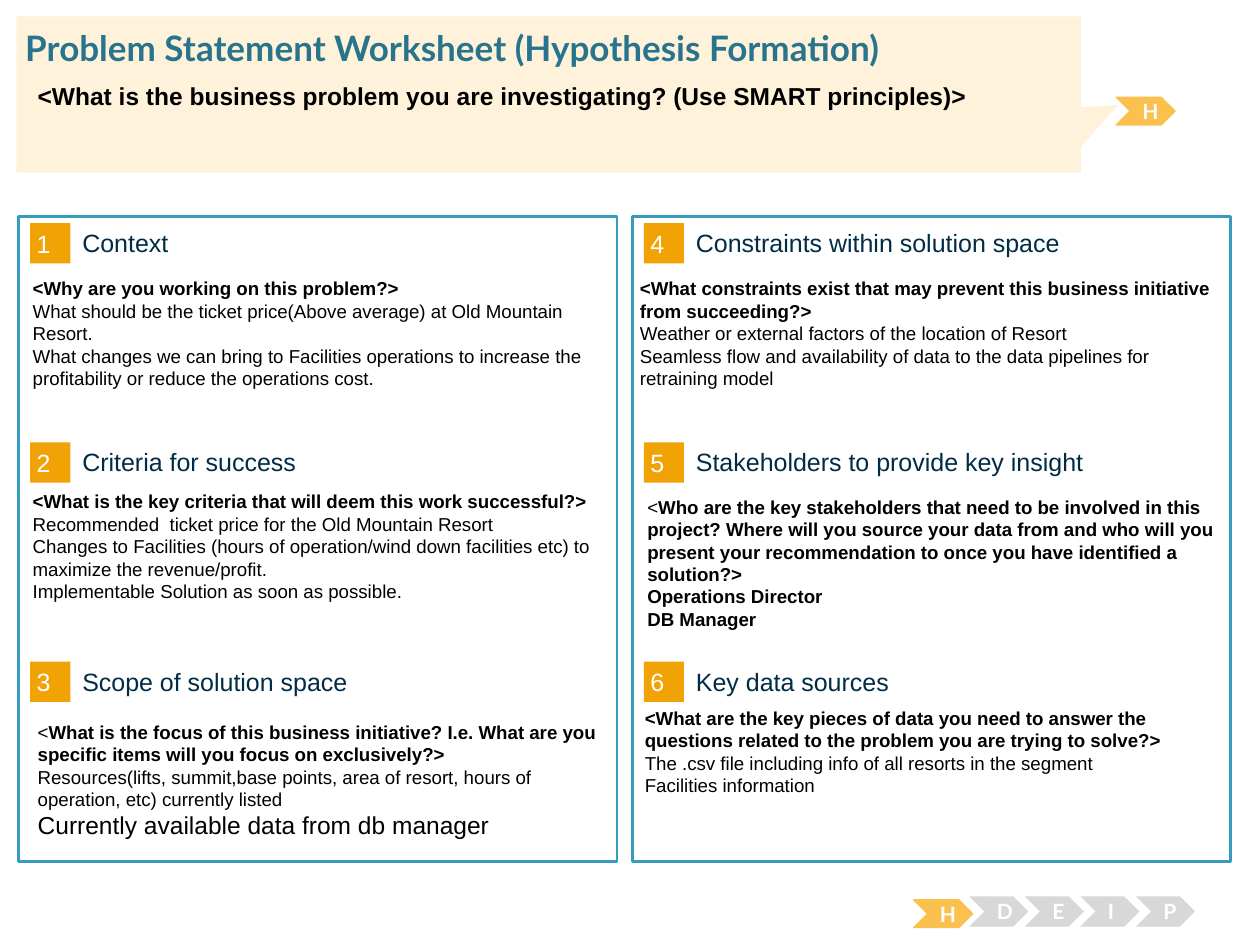
"""Build a problem statement worksheet slide with six numbered sections."""
from dataclasses import dataclass

import pptx
import pptx.dml.color
import pptx.enum.shapes
import pptx.enum.text
import pptx.util
from pptx.util import Cm

SHAPE = pptx.enum.shapes.MSO_SHAPE
ANCHOR = pptx.enum.text.MSO_ANCHOR
ALIGN = pptx.enum.text.PP_ALIGN


@dataclass(frozen=True)
class Theme:
    body_font: str = "Arial"
    accent_font: str = "Lato"
    white: str = "FFFFFF"
    black: str = "000000"
    heading: str = "002C46"
    title: str = "29748D"
    border: str = "379BBD"
    badge: str = "F1A205"
    active: str = "FBC14E"
    inactive: str = "D8D8D8"
    banner: str = "FEF2DA"
    title_size: float = 20
    heading_size: float = 14.3
    problem_size: float = 14
    step_size: float = 12
    note_size: float = 10.7


THEME = Theme()


@dataclass(frozen=True)
class Style:
    size: float
    color: str
    font: str = THEME.body_font
    bold: bool = False


@dataclass(frozen=True)
class Box:
    left: float
    top: float
    width: float
    height: float

    def lengths(self) -> tuple:
        return Cm(self.left), Cm(self.top), Cm(self.width), Cm(self.height)


@dataclass(frozen=True)
class Line:
    text: str
    style: Style
    plain_lead: str = ""


@dataclass(frozen=True)
class Section:
    heading: str
    note: Box
    lines: tuple


TITLE = Style(THEME.title_size, THEME.title, THEME.accent_font, True)
PROBLEM = Style(THEME.problem_size, THEME.black, bold=True)
LARGE = Style(THEME.problem_size, THEME.black)
HEADING = Style(THEME.heading_size, THEME.heading)
NUMBER = Style(THEME.heading_size, THEME.white)
STEP = Style(THEME.step_size, THEME.white, THEME.accent_font, True)
PLAIN = Style(THEME.note_size, THEME.black)
STRONG = Style(THEME.note_size, THEME.black, bold=True)

NOTE_WIDTH = 12.01
SECTIONS = (
    Section("Context", Box(0.41, 5.46, NOTE_WIDTH, 3.45), (
        Line("<Why are you working on this problem?>", STRONG),
        Line("What should be the ticket price(Above average) at Old Mountain Resort.", PLAIN),
        Line("What changes we can bring to Facilities operations to increase the "
             "profitability or reduce the operations cost.", PLAIN))),
    Section("Criteria for success", Box(0.41, 9.75, NOTE_WIDTH, 2.97), (
        Line("<What is the key criteria that will deem this work successful?>", STRONG),
        Line("Recommended  ticket price for the Old Mountain Resort", PLAIN),
        Line("Changes to Facilities (hours of operation/wind down facilities etc) to "
             "maximize the revenue/profit.", PLAIN),
        Line("Implementable Solution as soon as possible.", PLAIN))),
    Section("Scope of solution space", Box(0.51, 14.4, NOTE_WIDTH, 2.72), (
        Line("What is the focus of this business initiative? I.e. What are you "
             "specific items will you focus on exclusively?>", STRONG, "<"),
        Line("Resources(lifts, summit,base points, area of resort, hours of "
             "operation, etc) currently listed", PLAIN),
        Line("Currently available data from db manager", LARGE))),
    Section("Constraints within solution space", Box(12.65, 5.46, NOTE_WIDTH, 3), (
        Line("<What constraints exist that may prevent this business initiative "
             "from succeeding?>", STRONG),
        Line("Weather or external factors of the location of Resort", PLAIN),
        Line("Seamless flow and availability of data to the data pipelines for "
             "retraining model", PLAIN))),
    Section("Stakeholders to provide key insight", Box(12.8, 9.86, NOTE_WIDTH, 3), (
        Line("Who are the key stakeholders that need to be involved in this project? "
             "Where will you source your data from and who will you present your "
             "recommendation to once you have identified a solution?>", STRONG, "<"),
        Line("Operations Director", STRONG),
        Line("DB Manager", STRONG))),
    Section("Key data sources", Box(12.75, 14.12, NOTE_WIDTH, 3), (
        Line("<What are the key pieces of data you need to answer the questions "
             "related to the problem you are trying to solve?>", STRONG),
        Line("The .csv file including info of all resorts in the segment", PLAIN),
        Line("Facilities information", PLAIN))),
)


def rgb(value: str) -> pptx.dml.color.RGBColor:
    return pptx.dml.color.RGBColor.from_string(value)


def write(frame, lines: tuple, inset: tuple = (0.25, 0.13),
          anchor=ANCHOR.TOP, align=ALIGN.LEFT) -> None:
    frame.word_wrap = True
    frame.vertical_anchor = anchor
    frame.margin_left = frame.margin_right = Cm(inset[0])
    frame.margin_top = frame.margin_bottom = Cm(inset[1])
    for index, line in enumerate(lines):
        paragraph = frame.add_paragraph() if index else frame.paragraphs[0]
        paragraph.alignment = align
        paragraph.font.size = pptx.util.Pt(line.style.size)
        paragraph.font.name = line.style.font
        paragraph.font.color.rgb = rgb(line.style.color)
        if line.plain_lead:
            paragraph.add_run().text = line.plain_lead
            question = paragraph.add_run()
            question.text = line.text
            question.font.bold = line.style.bold
        else:
            paragraph.add_run().text = line.text
            paragraph.font.bold = line.style.bold


def add_text(slide, box: Box, lines: tuple, **layout) -> None:
    write(slide.shapes.add_textbox(*box.lengths()).text_frame, lines, **layout)


def add_block(slide, kind, box: Box, fill: str, border: str = "", weight: float = 0.75):
    block = slide.shapes.add_shape(kind, *box.lengths())
    block.shadow.inherit = False
    block.fill.solid()
    block.fill.fore_color.rgb = rgb(fill)
    if border:
        block.line.color.rgb = rgb(border)
        block.line.width = pptx.util.Pt(weight)
    else:
        block.line.fill.background()
    return block


def add_step(slide, letter: str, left: float, top: float, active: bool) -> None:
    box = Box(left, top, 1.19, 0.56 if active else 0.61)
    fill, border = (THEME.active, THEME.active) if active else (THEME.inactive, "")
    step = add_block(slide, SHAPE.CHEVRON, box, fill, border)
    write(step.text_frame, (Line(letter, STEP),), anchor=ANCHOR.MIDDLE, align=ALIGN.CENTER)


def add_section(slide, number: int, section: Section, left: float, top: float) -> None:
    badge = add_block(slide, SHAPE.RECTANGLE, Box(left + 0.23, top, 0.81, 0.81), THEME.badge)
    write(badge.text_frame, (Line(str(number), NUMBER),), (0.13, 0.13), ANCHOR.MIDDLE)
    add_text(slide, Box(left + 1.28, top + 0.07, 9.98, 0.64), (Line(section.heading, HEADING),),
             inset=(0, 0), anchor=ANCHOR.MIDDLE)
    add_text(slide, section.note, section.lines)


def main() -> None:
    deck = pptx.Presentation()
    deck.slide_width, deck.slide_height = Cm(25.4), Cm(19.05)
    slide = deck.slides.add_slide(deck.slide_layouts[6])

    panel_lefts = (0.38, 12.75)
    for left in panel_lefts:
        add_block(slide, SHAPE.RECTANGLE, Box(left, 4.37, 12.06, 13),
                  THEME.white, THEME.border, 1.5)
    for index, section in enumerate(SECTIONS):
        column, row = divmod(index, 3)
        add_section(slide, index + 1, section, panel_lefts[column], 4.5 + 4.42 * row)

    for index, letter in enumerate("HDEIP"):
        active = index == 0
        add_step(slide, letter, 18.42 + 1.12 * index, 18.14 if active else 18.07, active)
    add_step(slide, "H", 22.5, 1.96, True)

    banner = add_block(slide, SHAPE.RECTANGULAR_CALLOUT, Box(0.33, 0.33, 21.46, 3.15),
                       THEME.banner)
    banner.adjustments[0], banner.adjustments[1] = 0.535, 0.066
    add_text(slide, Box(0.51, 0.53, 24.43, 0.86),
             (Line("Problem Statement Worksheet (Hypothesis Formation)", TITLE),), inset=(0, 0))
    add_text(slide, Box(0.51, 1.5, 23.85, 1.37),
             (Line("<What is the business problem you are investigating? "
                   "(Use SMART principles)>", PROBLEM),))
    deck.save("out.pptx")


main()
